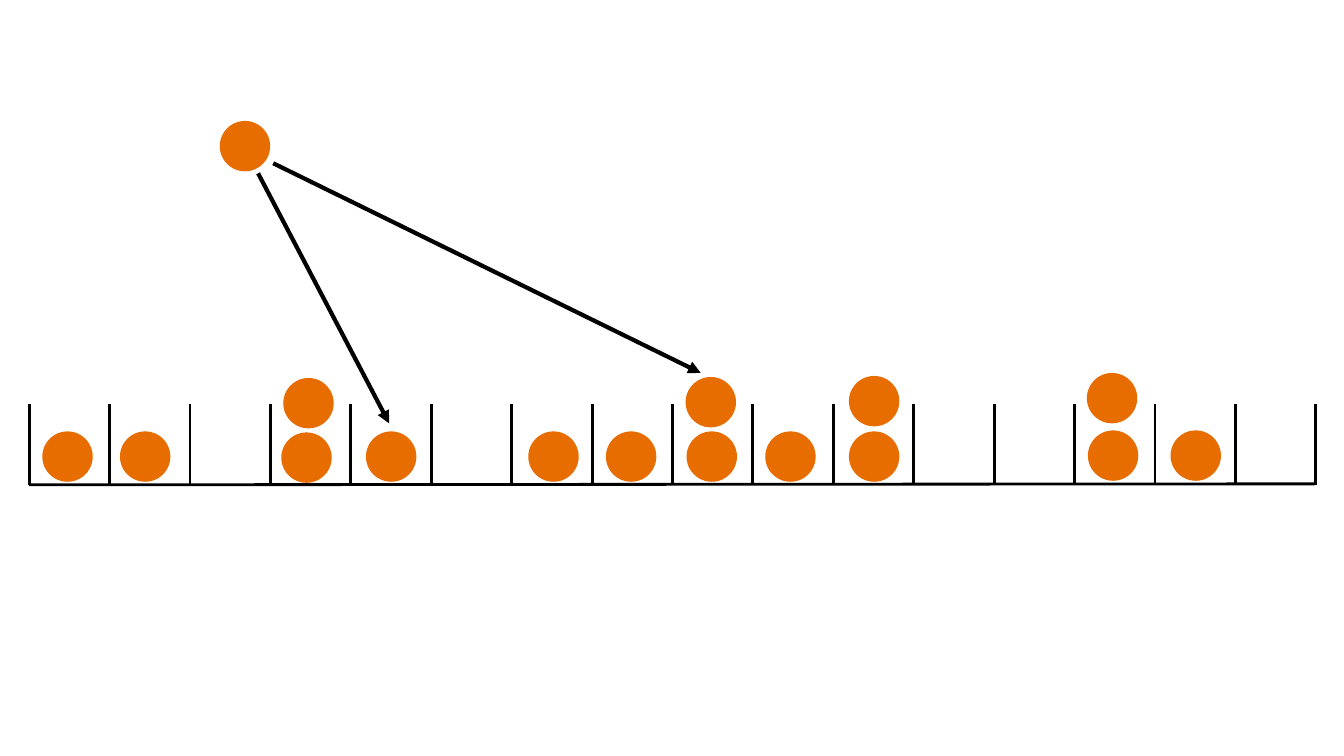
from typing import NamedTuple

from lxml.etree import SubElement
from pptx import Presentation
from pptx.dml.color import RGBColor
from pptx.enum.shapes import MSO_CONNECTOR, MSO_SHAPE
from pptx.oxml.ns import qn
from pptx.util import Inches, Pt

BLACK = RGBColor(0x00, 0x00, 0x00)
ORANGE = RGBColor(0xE7, 0x6D, 0x00)
SIZE = 0.5
LEFT, RIGHT = 0.29, 13.05
TOP, FLOOR = 4.01, 4.81
BINS = 16
THIN = {"width": Pt(2)}
THICK = {"width": Pt(3)}


class Ball(NamedTuple):
    left: float
    top: float = 4.28


class Stroke(NamedTuple):
    x1: float
    y1: float
    x2: float
    y2: float
    style: dict = THIN
    arrow: bool = False


STEP = (RIGHT - LEFT) / BINS
BASE = Stroke(LEFT, FLOOR, RIGHT, 4.8)
WALLS = [
    Stroke(LEFT + i * STEP, FLOOR, LEFT + i * STEP, TOP)
    for i in range(BINS + 1)
]
ARROWS = [
    Stroke(2.56, 1.72, 3.86, 4.2, THICK, True),
    Stroke(2.71, 1.62, 6.95, 3.7, THICK, True),
]
BALLS = [
    Ball(0.42),
    Ball(1.19),
    Ball(2.81, 3.75),
    Ball(2.79, 4.29),
    Ball(3.63),
    Ball(6.8, 3.74),
    Ball(5.24),
    Ball(6.01),
    Ball(6.81),
    Ball(7.59),
    Ball(8.42),
    Ball(2.18, 1.2),
    Ball(10.78, 3.7),
    Ball(10.79, 4.27),
    Ball(11.61, 4.27),
    Ball(8.42, 3.73),
]


def draw_line(slide, item: Stroke) -> None:
    ends = [Inches(n) for n in item[:4]]
    link = slide.shapes.add_connector(MSO_CONNECTOR.STRAIGHT, *ends)
    link.line.color.rgb = BLACK
    for name, value in item.style.items():
        setattr(link.line, name, value)
    props = link._element.spPr
    if item.arrow:
        SubElement(props.find(qn("a:ln")), qn("a:tailEnd"), type="triangle")
    SubElement(props, qn("a:effectLst"))


def draw_ball(slide, item: Ball) -> None:
    ball = slide.shapes.add_shape(
        MSO_SHAPE.OVAL,
        Inches(item.left), Inches(item.top), Inches(SIZE), Inches(SIZE),
    )
    ball.shadow.inherit = False
    ball.fill.solid()
    ball.fill.fore_color.rgb = ORANGE
    ball.line.fill.background()


def main() -> None:
    deck = Presentation()
    deck.slide_width = Inches(13.33)
    deck.slide_height = Inches(7.5)
    slide = deck.slides.add_slide(deck.slide_layouts[6])
    for item in [BASE, *WALLS]:
        draw_line(slide, item)
    for item in BALLS:
        draw_ball(slide, item)
    for item in ARROWS:
        draw_line(slide, item)
    deck.save("out.pptx")


if __name__ == "__main__":
    main()
